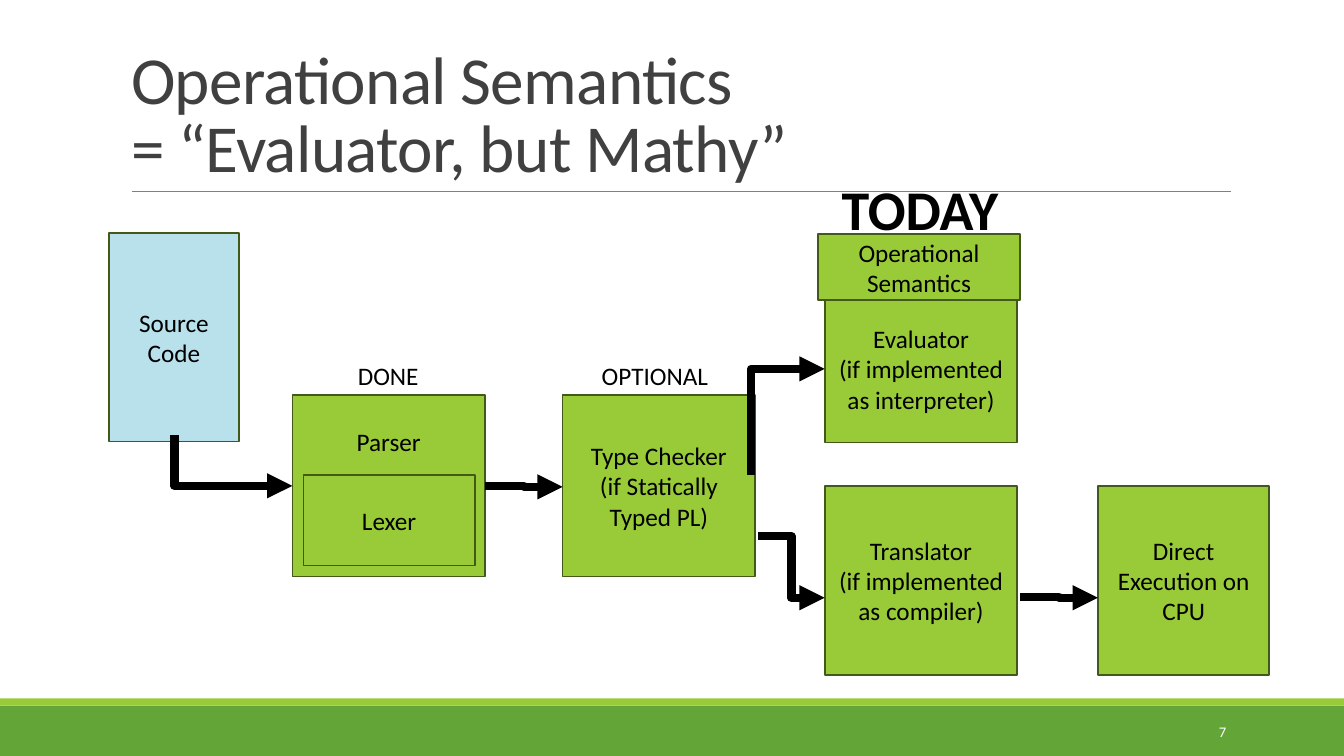
from lxml.etree import SubElement
from pptx import Presentation
from pptx.dml.color import RGBColor
from pptx.enum.shapes import MSO_CONNECTOR, MSO_SHAPE
from pptx.enum.text import MSO_ANCHOR, MSO_AUTO_SIZE, PP_ALIGN
from pptx.oxml.ns import qn
from pptx.util import Inches, Pt

GREEN = RGBColor(0x99, 0xCB, 0x38)
DARK_GREEN = RGBColor(0x63, 0xA5, 0x37)
OUTLINE = RGBColor(0x43, 0x59, 0x19)
BLUE = RGBColor(0xB8, 0xE1, 0xEC)
GRAY = RGBColor(0x80, 0x80, 0x80)
TITLE_GRAY = RGBColor(0x40, 0x40, 0x40)
BLACK = RGBColor(0, 0, 0)
WHITE = RGBColor(0xFF, 0xFF, 0xFF)
FONT = "Calibri"

TITLE = ["Operational Semantics", "= “Evaluator, but Mathy”"]

# Paragraphs, each a list of lines; left, top, width, height; fill
STAGES = [
    ([["Parser"]], (2.9, 3.92, 1.91, 1.8), GREEN),
    ([["Type Checker", "(if Statically Typed PL)"]], (5.58, 3.92, 1.91, 1.8), GREEN),
    ([["Evaluator", "(if implemented as interpreter)"]], (8.18, 2.93, 1.91, 1.46), GREEN),
    ([["Translator", "(if implemented as compiler)"]], (8.18, 4.82, 1.91, 1.88), GREEN),
    ([["Direct Execution on CPU"]], (10.89, 4.82, 1.7, 1.88), GREEN),
    ([["Source"], ["Code"]], (1.08, 2.31, 1.29, 2.07), BLUE),
    ([["Lexer"]], (3.01, 4.71, 1.7, 0.9), GREEN),
]
SEMANTICS = ([["Operational Semantics"]], (8.11, 2.32, 2.01, 0.66), GREEN)

# From x, y to x, y
CORNER_ARROWS = [(1.73, 4.32, 2.9, 4.82), (7.45, 4.71, 8.18, 3.66)]
STEP_ARROWS = [
    (4.81, 4.82, 5.58, 4.83),
    (7.52, 5.32, 8.18, 5.93),
    (10.12, 5.92, 10.89, 5.93),
]

# Text, position, size, bold
LABELS = [
    ("TODAY", (8.25, 1.68, 1.77, 0.77), 40, True),
    ("DONE", (3.45, 3.53, 0.81, 0.4), 18, False),
    ("OPTIONAL", (5.87, 3.53, 1.26, 0.4), 18, False),
]


def inches(values):
    return [Inches(v) for v in values]


def add_lines(p, lines, size, color=BLACK, bold=False):
    """Add one run per line, parted by line breaks."""
    for i, line in enumerate(lines):
        if i:
            p.add_line_break()
        r = p.add_run()
        r.text = line
        r.font.name = FONT
        r.font.size = Pt(size)
        r.font.bold = bold
        r.font.color.rgb = color


def add_rect(s, box, fill, outline=None):
    sp = s.shapes.add_shape(MSO_SHAPE.RECTANGLE, *inches(box))
    sp.shadow.inherit = False
    sp.fill.solid()
    sp.fill.fore_color.rgb = fill
    if outline is None:
        sp.line.fill.background()
    else:
        sp.line.color.rgb = outline
        sp.line.width = Pt(1.25)
    return sp


def add_stage(s, paragraphs, box, fill):
    tf = add_rect(s, box, fill, OUTLINE).text_frame
    tf.word_wrap = True
    tf.vertical_anchor = MSO_ANCHOR.MIDDLE
    for i, lines in enumerate(paragraphs):
        p = tf.add_paragraph() if i else tf.paragraphs[0]
        p.alignment = PP_ALIGN.CENTER
        add_lines(p, lines, 18)
    return tf


def add_line(s, kind, ends, color, width):
    c = s.shapes.add_connector(kind, *inches(ends))
    c.line.color.rgb = color
    c.line.width = Pt(width)
    SubElement(c._element.spPr, qn("a:effectLst"))
    return c


def add_step_arrow(s, ends):
    c = add_line(s, MSO_CONNECTOR.ELBOW, ends, BLACK, 6)
    SubElement(c.line._get_or_add_ln(), qn("a:tailEnd"), type="triangle")
    return c


def add_corner_arrow(s, ends):
    """Go vertically, then right: a one-bend connector turned by a quarter."""
    x1, y1, x2, y2 = ends
    cx, cy = (x1 + x2) / 2, (y1 + y2) / 2
    half_w, half_h = abs(y2 - y1) / 2, (x2 - x1) / 2
    down = y2 > y1
    if not down:
        half_h = -half_h
    c = add_step_arrow(s, (cx + half_w, cy - half_h, cx - half_w, cy + half_h))
    spPr = c._element.spPr
    spPr.find(qn("a:prstGeom")).set("prst", "bentConnector2")
    spPr.find(qn("a:xfrm")).set("rot", str((270 if down else 90) * 60000))


def add_text(s, text, box, size, color=BLACK, bold=False):
    sp = s.shapes.add_textbox(*inches(box))
    add_lines(sp.text_frame.paragraphs[0], [text], size, color, bold)
    return sp.text_frame


def add_title(s):
    sp = s.shapes.title
    sp.left, sp.top, sp.width, sp.height = inches((1.2, 0.31, 11, 1.59))
    tf = sp.text_frame
    tf.word_wrap = True
    tf.auto_size = MSO_AUTO_SIZE.NONE
    tf.vertical_anchor = MSO_ANCHOR.BOTTOM
    p = tf.paragraphs[0]
    p.alignment = PP_ALIGN.LEFT
    p.line_spacing = 0.85
    add_lines(p, TITLE, 48, TITLE_GRAY)
    for r in p.runs:
        r.font._element.set("spc", "-50")


def main():
    prs = Presentation()
    prs.slide_width, prs.slide_height = inches((13.33, 7.5))
    s = prs.slides.add_slide(prs.slide_layouts[5])

    add_rect(s, (0, 7, 13.33, 0.5), DARK_GREEN)
    add_rect(s, (0, 6.93, 13.33, 0.07), GREEN)
    add_line(s, MSO_CONNECTOR.STRAIGHT, (1.31, 1.9, 12.21, 1.9), GRAY, 0.5)
    add_title(s)

    frames = [add_stage(s, *stage) for stage in STAGES]
    parser = frames[0]
    parser.vertical_anchor = MSO_ANCHOR.TOP
    parser.margin_top = Inches(0.31)

    for ends in CORNER_ARROWS:
        add_corner_arrow(s, ends)
    for ends in STEP_ARROWS:
        add_step_arrow(s, ends)

    for text, box, size, bold in LABELS:
        tf = add_text(s, text, box, size, bold=bold)
        tf.word_wrap = False
        tf.auto_size = MSO_AUTO_SIZE.SHAPE_TO_FIT_TEXT
    add_stage(s, *SEMANTICS)

    number = add_text(s, "7", (10.83, 7.06, 1.43, 0.4), 10.5, WHITE)
    number.word_wrap = True
    number.vertical_anchor = MSO_ANCHOR.MIDDLE
    number.paragraphs[0].alignment = PP_ALIGN.RIGHT

    prs.save("out.pptx")


if __name__ == "__main__":
    main()
